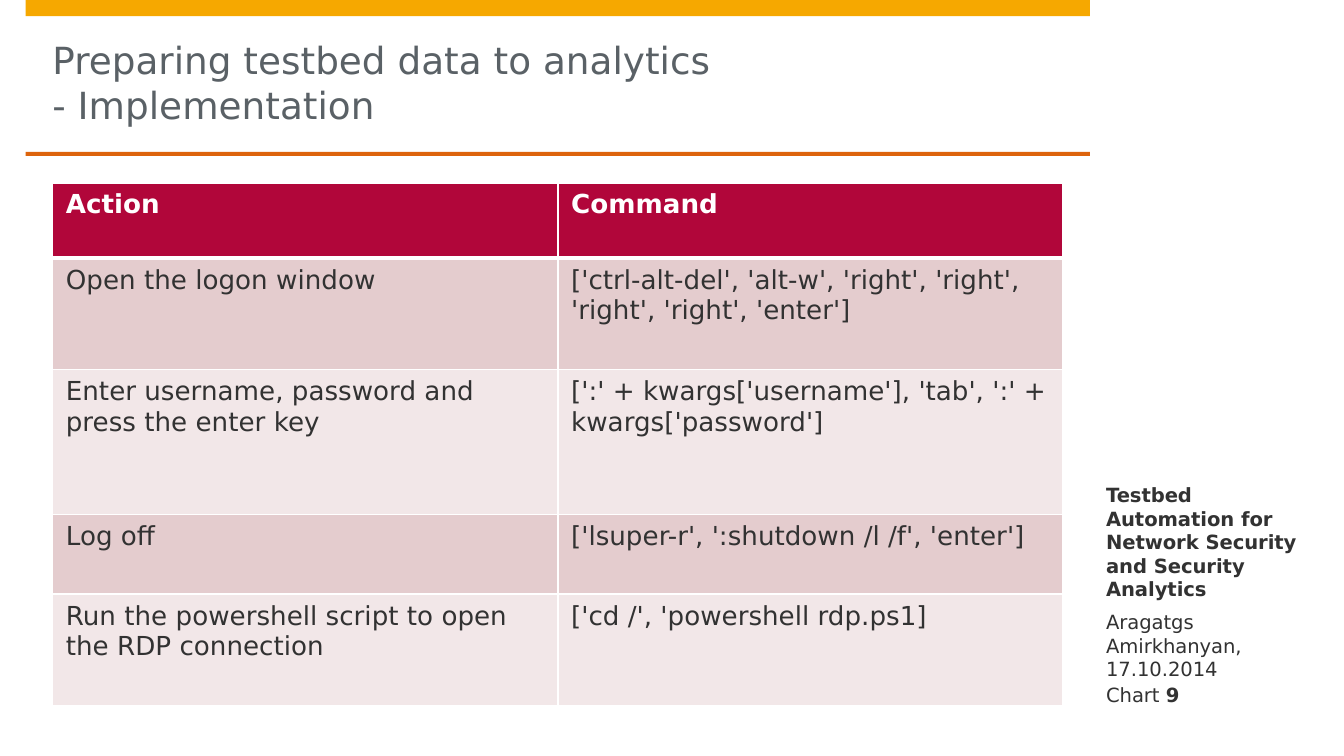
import pptx
import pptx.util
import pptx.dml.color
import pptx.enum.shapes
import pptx.enum.text
import pptx.oxml
import pptx.oxml.ns

Inches = pptx.util.Inches
Pt = pptx.util.Pt
ANCHOR = pptx.enum.text.MSO_ANCHOR


def color(value):
    return pptx.dml.color.RGBColor.from_string(value)


def add_text(paragraph, text, size, ink, bold=False):
    run = paragraph.add_run()
    run.text = text
    run.font.name = "DejaVu Sans"
    run.font.size = Pt(size)
    run.font.bold = bold
    run.font.color.rgb = color(ink)


presentation = pptx.Presentation()
presentation.slide_width = Inches(10)
presentation.slide_height = Inches(10) * 9 // 16
slide = presentation.slides.add_slide(presentation.slide_layouts[6])

for top, height, fill in [(0, 0.12, "F6A800"), (1.13, 0.03, "DD640C")]:
    band = slide.shapes.add_shape(
        pptx.enum.shapes.MSO_SHAPE.RECTANGLE,
        Inches(0.19), Inches(top), Inches(7.92), Inches(height))
    band.shadow.inherit = False
    band.fill.solid()
    band.fill.fore_color.rgb = color(fill)
    band.line.fill.background()

title_lines = ["Preparing testbed data to analytics", "- Implementation"]
talk = "Testbed Automation for Network Security and Security Analytics"
texts = [
    (0.39, 0.12, 7.52, 1.01, 0, 0.16, ANCHOR.TOP, 20, "5A6166",
     [(title_lines[0], False), (title_lines[1], False)]),
    (8.11, 4.54, 1.69, 0.51, 0.12, 0, ANCHOR.TOP, 10.5, "323232",
     [("Aragatgs Amirkhanyan, 17.10.2014", False)]),
    (8.11, 3.9, 1.69, 0.57, 0.12, 0, ANCHOR.BOTTOM, 10.5, "323232",
     [(talk, True)]),
    (8.11, 5.06, 1.69, 0.2, 0.12, 0, ANCHOR.BOTTOM, 10.5, "323232",
     [("Chart ", False), ("9", True)]),
]
for left, top, width, height, inset_left, inset_top, anchor, size, ink, parts in texts:
    frame = slide.shapes.add_textbox(
        Inches(left), Inches(top), Inches(width), Inches(height)).text_frame
    frame.word_wrap = True
    frame.vertical_anchor = anchor
    frame.margin_left = Inches(inset_left)
    frame.margin_top = Inches(inset_top)
    frame.margin_right = frame.margin_bottom = 0
    paragraph = frame.paragraphs[0]
    for text, bold in parts:
        if text == title_lines[1]:
            paragraph.add_line_break()
        add_text(paragraph, text, size, ink, bold)

actions = [
    ("Action", "Command"),
    ("Open the logon window",
     "['ctrl-alt-del', 'alt-w', 'right', 'right', 'right', 'right', 'enter']"),
    ("Enter username, password and press the enter key",
     "[':' + kwargs['username'], 'tab', ':' + kwargs['password']"),
    ("Log off", "['lsuper-r', ':shutdown /l /f', 'enter']"),
    ("Run the powershell script to open the RDP connection",
     "['cd /', 'powershell rdp.ps1]"),
]
row_heights = [0.56, 0.83, 1.08, 0.59, 0.83]
table = slide.shapes.add_table(
    len(actions), 2, Inches(0.39), Inches(1.36),
    Inches(7.52), Inches(sum(row_heights))).table

for row, commands in enumerate(actions):
    table.rows[row].height = Inches(row_heights[row])
    header = row == 0
    fill = "B1063A" if header else ("F2E7E8", "E4CCCE")[row % 2]
    for column, text in enumerate(commands):
        cell = table.cell(row, column)
        properties = cell._tc.get_or_add_tcPr()
        for side in "LRTB":
            thick = (row, side) in [(0, "B"), (1, "T")]
            properties.append(pptx.oxml.parse_xml(
                f'<a:ln{side} {pptx.oxml.ns.nsdecls("a")} w="{Pt(3 if thick else 1)}">'
                f'<a:solidFill><a:srgbClr val="FFFFFF"/></a:solidFill></a:ln{side}>'))
        cell.fill.solid()
        cell.fill.fore_color.rgb = color(fill)
        add_text(cell.text_frame.paragraphs[0], text, 14,
                 "FFFFFF" if header else "323232", header)

presentation.save("out.pptx")
